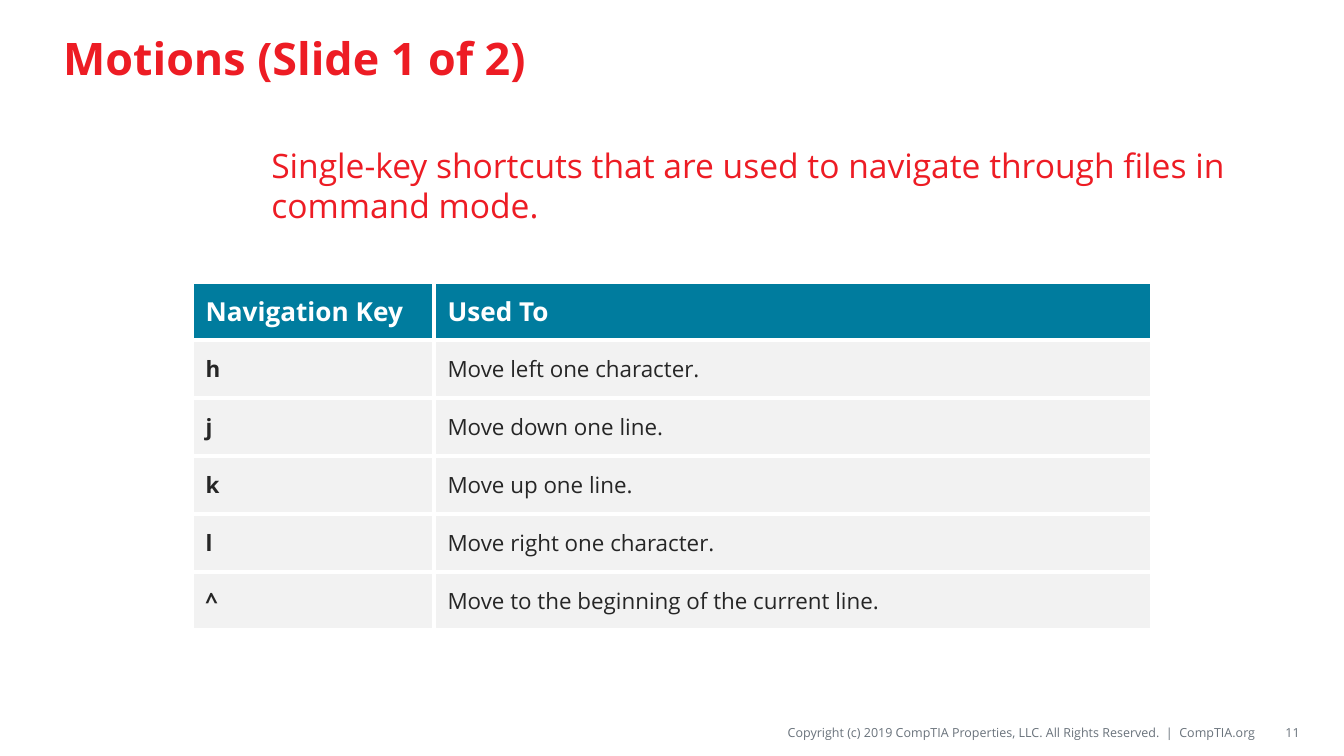
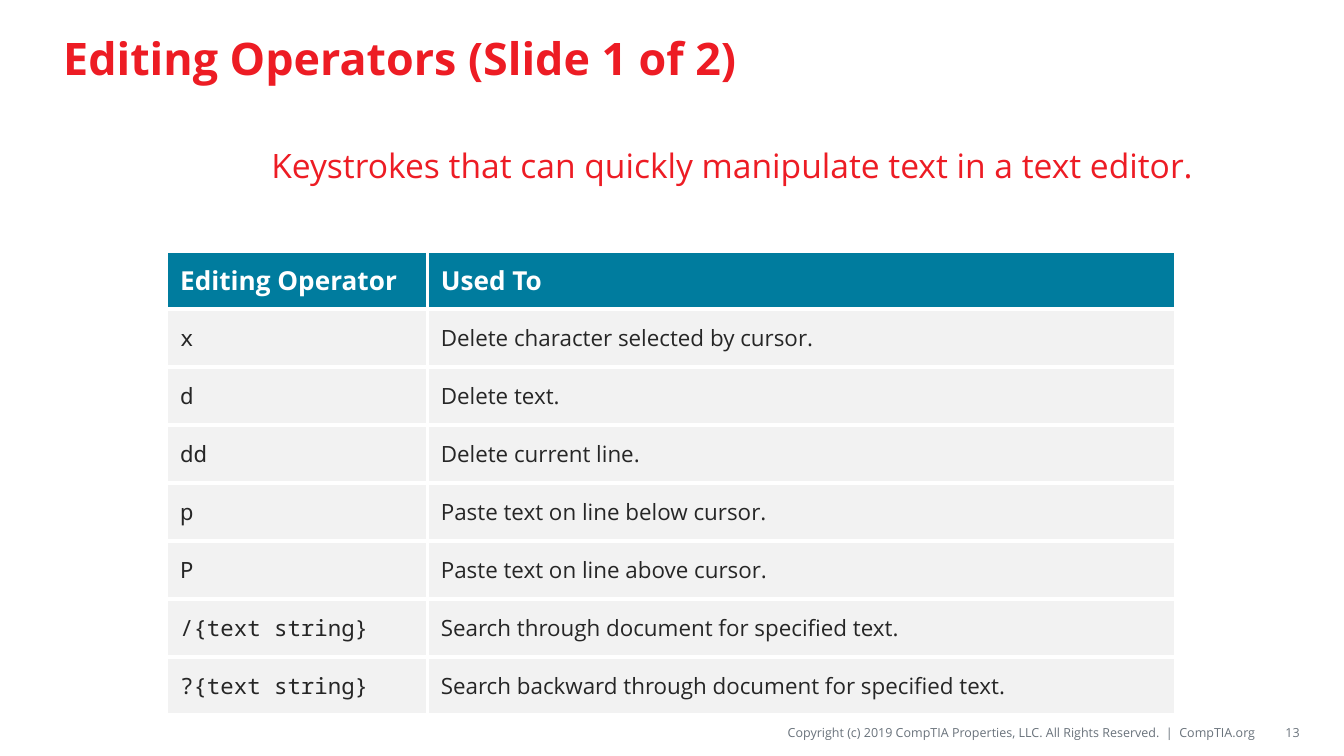
"""Build two slides of text editor shortcuts, each with a lead sentence and a key table."""
from dataclasses import dataclass

from lxml import etree
from pptx import Presentation
from pptx import util as u
from pptx.dml.color import RGBColor
from pptx.enum import text
from pptx.oxml import ns

Inches, Pt = u.Inches, u.Pt


@dataclass(frozen=True)
class Style:
    size: float
    color: str
    bold: bool = False
    font: str = "Open Sans"


@dataclass(frozen=True)
class Theme:
    title: Style = Style(24, "ED1C24", True)
    lead: Style = Style(18, "ED1C24")
    footer: Style = Style(6.7, "69727B")
    header: Style = Style(14, "FFFFFF", True)
    cell: Style = Style(12, "262626")
    bold_key: Style = Style(12, "262626", True)
    code_key: Style = Style(12, "262626", font="Noto Sans Mono")
    header_fill: str = "007C9E"
    row_fill: str = "F2F2F2"
    border: str = "FFFFFF"
    border_width: float = 2.25


@dataclass(frozen=True)
class Box:
    left: float
    top: float
    width: float
    height: float

    def lengths(self) -> list[u.Length]:
        return [Inches(n) for n in (self.left, self.top, self.width, self.height)]


@dataclass(frozen=True)
class KeySlide:
    title: str
    lead: str
    page: str
    place: Box
    key_width: float
    key_style: Style
    header: tuple[str, str]
    rows: list[tuple[str, str]]


THEME = Theme()
TITLE = Box(0.37, 0.08, 9.25, 0.69)
LEAD = Box(1.92, 1.03, 7.71, 0.62)
COPYRIGHT = Box(3.88, 5.34, 5.47, 0.22)
PAGE = Box(9.38, 5.34, 0.29, 0.22)
COPYRIGHT_LINE = ("Copyright (c) 2019 CompTIA Properties, LLC. "
                  "All Rights Reserved.  |  CompTIA.org")

SLIDES = [
    KeySlide(
        "Motions (Slide 1 of 2)",
        "Single-key shortcuts that are used to navigate through files in command mode.",
        "11", Box(1.43, 2.1, 7.14, 2.59), 1.8, THEME.bold_key,
        ("Navigation Key", "Used To"),
        [("h", "Move left one character."),
         ("j", "Move down one line."),
         ("k", "Move up one line."),
         ("l", "Move right one character."),
         ("^", "Move to the beginning of the current line.")]),
    KeySlide(
        "Editing Operators (Slide 1 of 2)",
        "Keystrokes that can quickly manipulate text in a text editor.",
        "13", Box(1.24, 1.87, 7.51, 3.45), 1.94, THEME.code_key,
        ("Editing Operator", "Used To"),
        [("x", "Delete character selected by cursor."),
         ("d", "Delete text."),
         ("dd", "Delete current line."),
         ("p", "Paste text on line below cursor."),
         ("P", "Paste text on line above cursor."),
         ("/{text string}", "Search through document for specified text."),
         ("?{text string}", "Search backward through document for specified text.")]),
]


def write(frame, words: str, style: Style, align=text.PP_ALIGN.LEFT) -> None:
    """Put one styled paragraph in a text frame."""
    frame.text = words
    paragraph = frame.paragraphs[0]
    paragraph.alignment = align
    font = paragraph.font
    font.name, font.size, font.bold = style.font, Pt(style.size), style.bold
    font.color.rgb = RGBColor.from_string(style.color)


def add_text(slide, box: Box, words: str, style: Style, align=text.PP_ALIGN.LEFT):
    """Add a wrapping text box and return its frame."""
    frame = slide.shapes.add_textbox(*box.lengths()).text_frame
    frame.word_wrap = True
    write(frame, words, style, align)
    return frame


def add_title(slide, words: str) -> None:
    """Place and format the title placeholder."""
    heading = slide.shapes.title
    heading.left, heading.top, heading.width, heading.height = TITLE.lengths()
    heading.text_frame.vertical_anchor = text.MSO_ANCHOR.MIDDLE
    write(heading.text_frame, words, THEME.title)


def add_footer(slide, page: str) -> None:
    """Add the copyright line and the page number."""
    for box, words, left, edge in ((COPYRIGHT, COPYRIGHT_LINE, 0, 0.04),
                                   (PAGE, page, 0.1, 0.05)):
        frame = add_text(slide, box, words, THEME.footer, text.PP_ALIGN.RIGHT)
        frame.vertical_anchor = text.MSO_ANCHOR.MIDDLE
        frame.margin_left, frame.margin_right = Inches(left), Inches(0)
        frame.margin_top = frame.margin_bottom = Inches(edge)


def add_borders(cell) -> None:
    """Draw the theme border on all four sides of a cell."""
    properties = cell._tc.get_or_add_tcPr()
    for position, side in enumerate(("a:lnL", "a:lnR", "a:lnT", "a:lnB")):
        line = etree.Element(ns.qn(side), w=str(Pt(THEME.border_width)))
        fill = etree.SubElement(line, ns.qn("a:solidFill"))
        etree.SubElement(fill, ns.qn("a:srgbClr"), val=THEME.border)
        properties.insert(position, line)


def fill_cell(cell, words: str, style: Style, fill: str) -> None:
    """Write and format one table cell."""
    write(cell.text_frame, words, style)
    cell.vertical_anchor = text.MSO_ANCHOR.MIDDLE
    cell.fill.solid()
    cell.fill.fore_color.rgb = RGBColor.from_string(fill)
    add_borders(cell)


def add_keys(slide, content: KeySlide) -> None:
    """Add the table of keys and their uses."""
    rows = [content.header, *content.rows]
    keys = slide.shapes.add_table(len(rows), 2, *content.place.lengths()).table
    keys.columns[0].width = Inches(content.key_width)
    keys.columns[1].width = Inches(content.place.width - content.key_width)
    for row, words in enumerate(rows):
        styles = (content.key_style, THEME.cell) if row else (THEME.header,) * 2
        fill = THEME.row_fill if row else THEME.header_fill
        for column, style in enumerate(styles):
            fill_cell(keys.cell(row, column), words[column], style, fill)


def main() -> None:
    """Build and save the presentation."""
    deck = Presentation()
    deck.slide_width = Inches(10)
    deck.slide_height = deck.slide_width * 9 // 16
    for content in SLIDES:
        slide = deck.slides.add_slide(deck.slide_layouts.get_by_name("Title Only"))
        add_title(slide, content.title)
        add_text(slide, LEAD, content.lead, THEME.lead)
        add_footer(slide, content.page)
        add_keys(slide, content)
    deck.save("out.pptx")


if __name__ == "__main__":
    main()
